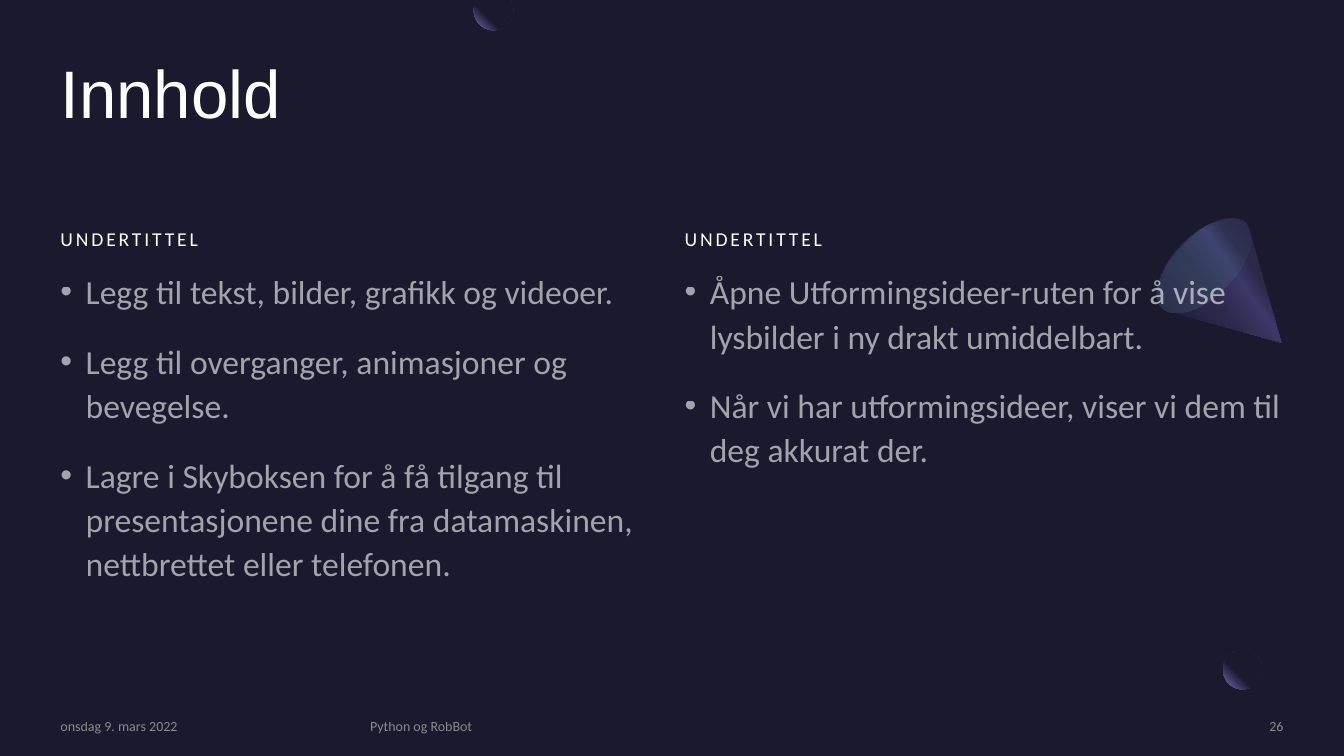
from math import asin, cos, pi, sin

from lxml.etree import SubElement
from pptx import Presentation
from pptx.dml.color import RGBColor
from pptx.enum.shapes import MSO_SHAPE
from pptx.enum.text import MSO_ANCHOR, MSO_AUTO_SIZE, PP_ALIGN
from pptx.oxml.ns import qn
from pptx.util import Inches, Pt

COLORS = {
    "night": "1B192E",
    "lilac": "7771B2",
    "shade": "2C284A",
    "glow": "3C3867",
    "violet": "454075",
    "mint": "5BEFC1",
    "white": "FFFFFF",
    "grey": "A6A6A6",
}

TITLE = {
    "font": {"size": Pt(48), "name": "Arial"},
    "paragraph": {"line_spacing": 0.9, "alignment": PP_ALIGN.LEFT},
    "anchor": MSO_ANCHOR.TOP,
    "color": "white",
}
SUBTITLE = {
    "font": {"size": Pt(14), "name": "Calibri", "bold": False},
    "paragraph": {"line_spacing": 1.1, "space_after": Pt(8)},
    "anchor": MSO_ANCHOR.BOTTOM,
    "color": "white",
    "tracking": 200,
}
POINTS = {
    "font": {"size": Pt(24), "name": "Calibri"},
    "paragraph": {"line_spacing": 1.1, "space_after": Pt(8)},
    "anchor": MSO_ANCHOR.TOP,
    "color": "white",
    "opacity": 60,
    "bullet": "•",
}
FOOTER = {
    "font": {"size": Pt(10), "name": "Calibri"},
    "paragraph": {"alignment": PP_ALIGN.LEFT},
    "anchor": MSO_ANCHOR.MIDDLE,
    "color": "grey",
    "opacity": 80,
}
PAGE_NUMBER = FOOTER | {"paragraph": {"alignment": PP_ALIGN.RIGHT}}

CRESCENT_STOPS = [(60, "night", 100), (100, "lilac", 100)]
CONE_STOPS = [(30, "shade", 100), (40, "glow", 100), (60, "shade", 100), (100, "night", 100)]
RIM_STOPS = [(0, "violet", 33), (100, "mint", 0)]
CONE_APEX = (1.31, 1.4)
CONE_START = (0.17, 1.08)
CONE_CURVES = [
    ((0.16, 1.07), (0.14, 1.06), (0.12, 1.05)),
    ((0.01, 0.93), (0.1, 0.65), (0.33, 0.42)),
    ((0.56, 0.19), (0.84, 0.1), (0.96, 0.21)),
    ((0.97, 0.23), (0.98, 0.24), (0.99, 0.27)),
]


def rgb(name):
    return RGBColor.from_string(COLORS[name])


def apply(target, values):
    for attribute, value in values.items():
        setattr(target, attribute, value)


def set_opacity(element, percent):
    for color in element.iter(qn("a:srgbClr")):
        SubElement(color, qn("a:alpha"), val=str(percent * 1000))


def add_bullet(paragraph, character):
    properties = paragraph._p.get_or_add_pPr()
    properties.set("marL", str(Inches(0.25)))
    properties.set("indent", str(-Inches(0.25)))
    SubElement(properties, qn("a:buFont"), typeface="Arial")
    SubElement(properties, qn("a:buChar"), char=character)


def write(holder, box, lines, style):
    apply(holder, dict(zip(("left", "top", "width", "height"), map(Inches, box))))
    frame = holder.text_frame
    apply(frame, dict.fromkeys(("margin_left", "margin_top", "margin_right", "margin_bottom"), 0))
    apply(frame, {"word_wrap": True, "auto_size": MSO_AUTO_SIZE.NONE, "vertical_anchor": style["anchor"]})
    for index, line in enumerate(lines):
        paragraph = frame.add_paragraph() if index else frame.paragraphs[0]
        if "bullet" in style:
            add_bullet(paragraph, style["bullet"])
        apply(paragraph, style["paragraph"] | {"space_before": Pt(10 if index else 0)})
        run = paragraph.add_run()
        run.text = line
        apply(run.font, style["font"])
        run.font.color.rgb = rgb(style["color"])
        properties = run._r.get_or_add_rPr()
        if "opacity" in style:
            set_opacity(properties, style["opacity"])
        if "tracking" in style:
            properties.set("spc", str(style["tracking"]))


def clean(shape):
    shape.shadow.inherit = False
    shape.line.fill.background()


def fill_gradient(shape, stops, angle=None):
    clean(shape)
    shape.fill.gradient()
    gradient = shape.element.spPr.find(qn("a:gradFill"))
    for child in list(gradient):
        gradient.remove(child)
    gradient.set("rotWithShape", "1")
    stop_list = SubElement(gradient, qn("a:gsLst"))
    for position, name, opacity in stops:
        stop = SubElement(stop_list, qn("a:gs"), pos=str(position * 1000))
        color = SubElement(stop, qn("a:srgbClr"), val=COLORS[name])
        if opacity < 100:
            SubElement(color, qn("a:alpha"), val=str(opacity * 1000))
    if angle is None:
        radial = SubElement(gradient, qn("a:path"), path="circle")
        SubElement(radial, qn("a:fillToRect"), l="100000", b="100000")
    else:
        SubElement(gradient, qn("a:lin"), ang=str(angle * 60000), scaled="0")


def outline(slide, left, top, points):
    corners = [(Inches(left + x), Inches(top + y)) for x, y in points]
    builder = slide.shapes.build_freeform(*corners[0], scale=1.0)
    builder.add_line_segments(corners[1:], close=True)
    return builder.convert_to_shape()


def curve_points(start, first, second, end, steps=12):
    for step in range(1, steps + 1):
        t = step / steps
        weights = ((1 - t) ** 3, 3 * t * (1 - t) ** 2, 3 * t * t * (1 - t), t ** 3)
        yield tuple(sum(w * c for w, c in zip(weights, axis)) for axis in zip(start, first, second, end))


def add_lower_ball(slide, box):
    left, top, size, _ = box
    ball = slide.shapes.add_shape(MSO_SHAPE.OVAL, *map(Inches, box))
    fill_gradient(ball, CRESCENT_STOPS)
    veil = slide.shapes.add_shape(
        MSO_SHAPE.RECTANGLE, *map(Inches, (left + size, top - 0.08, 0.41, size)))
    clean(veil)
    veil.fill.solid()
    veil.fill.fore_color.rgb = rgb("night")
    set_opacity(veil.element.spPr, 80)


def add_cone(slide, box):
    left, top = box[:2]
    points = [CONE_APEX, CONE_START]
    for curve in CONE_CURVES:
        points.extend(curve_points(points[-1], *curve))
    fill_gradient(outline(slide, left, top, points), CONE_STOPS, 145)
    rim = slide.shapes.add_shape(
        MSO_SHAPE.OVAL, *map(Inches, (left + 0.25, top + 0.04, 0.59, 1.18)))
    rim.rotation = 225
    fill_gradient(rim, RIM_STOPS, 90)


def add_upper_ball(slide, box):
    left, top, width, height = box
    radius = width / 2
    center = height - radius
    start = -asin(center / radius)
    sweep = pi - 2 * start
    angles = [start + sweep * step / 40 for step in range(41)]
    points = [(radius + radius * cos(a), center + radius * sin(a)) for a in angles]
    fill_gradient(outline(slide, left, top, points), CRESCENT_STOPS)


def add_column(subtitle, body, box, heading, points):
    left, top, width, height = box
    write(subtitle, (left, top, width, 0.59), [heading], SUBTITLE)
    write(body, (left, top + 0.76, width, height - 0.76), points, POINTS)


def add_footer(slide, box):
    left, top, _, height = box
    for offset, width, text, style in (
        (0, 2.88, "onsdag 9. mars 2022", FOOTER),
        (3.07, 6.98, "Python og RobBot", FOOTER),
        (10.28, 1.85, "26", PAGE_NUMBER),
    ):
        place = (left + offset, top, width, height)
        write(slide.shapes.add_textbox(*map(Inches, place)), place, [text], style)


def add_contents_slide(presentation):
    slide = presentation.slides.add_slide(presentation.slide_layouts[4])
    slide.background.fill.solid()
    slide.background.fill.fore_color.rgb = rgb("night")
    add_lower_ball(slide, (12.13, 6.45, 0.39, 0.39))
    add_cone(slide, (11.4, 2, 1.31, 1.4))
    add_upper_ball(slide, (4.7, 0, 0.39, 0.3))
    title, *columns = list(slide.placeholders)
    for holder in (title, *columns):
        holder.element.getparent().append(holder.element)
    write(title, (0.6, 0.6, 12.14, 1.46), ["Innhold"], TITLE)
    add_column(*columns[:2], (0.6, 1.89, 5.95, 4.6), "UNDERTITTEL", [
        "Legg til tekst, bilder, grafikk og videoer.",
        "Legg til overganger, animasjoner og bevegelse.",
        "Lagre i Skyboksen for å få tilgang til presentasjonene dine fra datamaskinen, nettbrettet eller telefonen.",
    ])
    add_column(*columns[2:], (6.79, 1.89, 5.95, 4.6), "UNDERTITTEL", [
        "Åpne Utformingsideer-ruten for å vise lysbilder i ny drakt umiddelbart.",
        "Når vi har utformingsideer, viser vi dem til deg akkurat der.",
    ])
    add_footer(slide, (0.6, 7.12, 12.14, 0.17))


def main():
    presentation = Presentation()
    apply(presentation, {"slide_width": Inches(13.33), "slide_height": Inches(7.5)})
    add_contents_slide(presentation)
    presentation.save("out.pptx")


if __name__ == "__main__":
    main()
